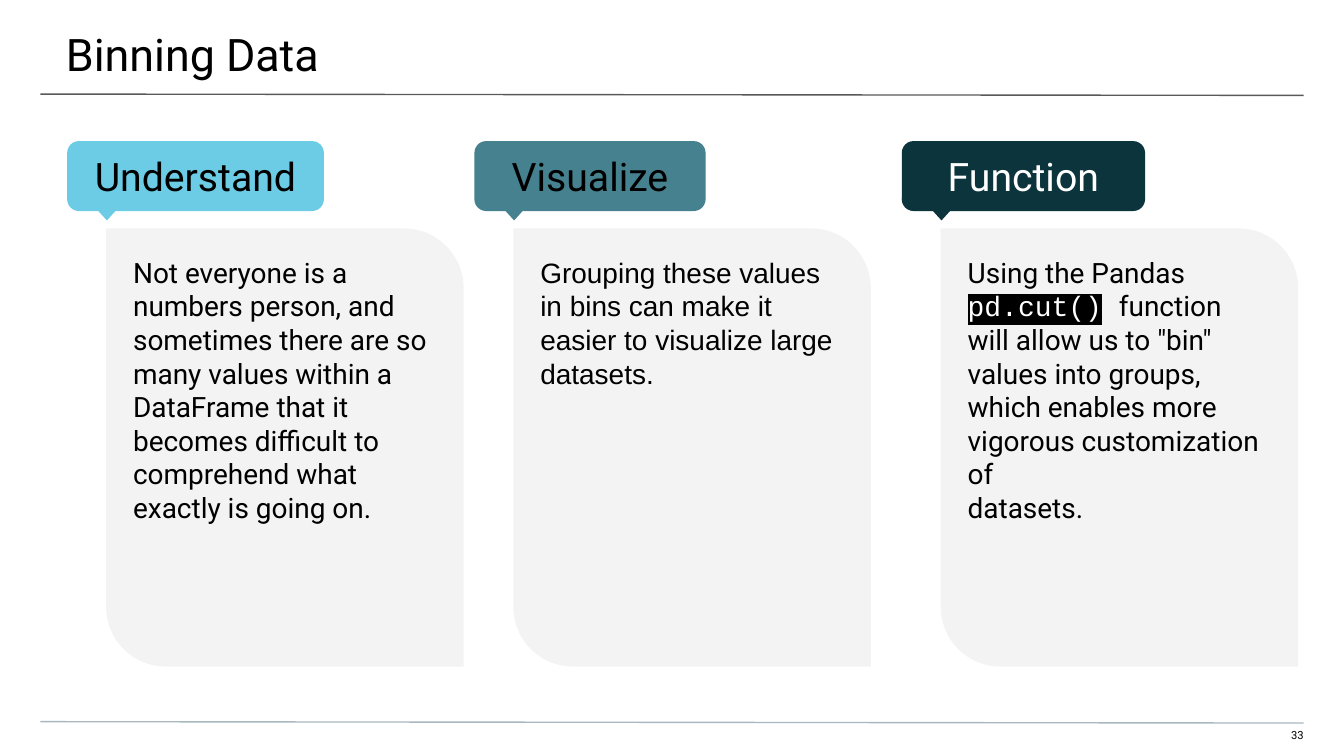
from lxml.etree import SubElement
from pptx import Presentation
from pptx.dml.color import RGBColor
from pptx.enum.shapes import MSO_CONNECTOR as Connector, MSO_SHAPE as Shape
from pptx.enum.text import MSO_ANCHOR as Anchor, PP_ALIGN as Align
from pptx.oxml.ns import qn
from pptx.util import Inches, Pt

BLACK = RGBColor(0x00, 0x00, 0x00)
WHITE = RGBColor(0xFF, 0xFF, 0xFF)
CARD_GREY = RGBColor(0xF3, 0xF3, 0xF3)
RULE_GREY = RGBColor(0x59, 0x59, 0x59)
RULE_BLUE = RGBColor(0xA9, 0xB7, 0xC0)
SKY = RGBColor(0x6C, 0xCC, 0xE6)
TEAL = RGBColor(0x45, 0x81, 0x8E)
NAVY = RGBColor(0x0C, 0x34, 0x3D)

UNDERSTAND = (
    "Not everyone is a numbers person, and sometimes there are so many values "
    "within a DataFrame that it becomes difficult to comprehend what exactly is going on."
)
VISUALIZE = "Grouping these values in bins can make it easier to visualize large datasets."
FUNCTION_END = (
    'function will allow us to "bin" values into groups, '
    "which enables more vigorous customization of "
)
COLUMNS = [
    (0.5, 1.91, "Understand", SKY, BLACK, [(UNDERSTAND, "Roboto", BLACK, None)]),
    (3.53, 1.72, "Visualize", TEAL, BLACK, [(VISUALIZE, "Arial", BLACK, None)]),
    (6.71, 1.81, "Function", NAVY, WHITE, [
        ("Using the Pandas ", "Roboto", BLACK, None),
        ("pd.cut()", "Courier New", WHITE, BLACK),
        (" ", "Courier New", WHITE, None),
        (FUNCTION_END, "Roboto", BLACK, None),
        ("\n", None, None, None),
        ("datasets.", "Roboto", BLACK, None),
    ]),
]


def set_frame(frame, insets, anchor=Anchor.TOP):
    """Set wrapping, anchor and the left, top, right, bottom insets."""
    frame.word_wrap = True
    frame.vertical_anchor = anchor
    frame.margin_left, frame.margin_top, frame.margin_right, frame.margin_bottom = map(
        Inches, insets
    )


def style_run(run, size, font="Roboto", color=BLACK, highlight=None):
    """Set the look of one run."""
    run.font.size = Pt(size)
    run.font.color.rgb = color
    if highlight is not None:
        marker = SubElement(run.font._element, qn("a:highlight"))
        SubElement(marker, qn("a:srgbClr"), val=str(highlight))
    run.font.name = font


def write_line(frame, text, size, align, color=BLACK):
    """Write a single-run line."""
    frame.text = text
    paragraph = frame.paragraphs[0]
    paragraph.alignment = align
    style_run(paragraph.runs[0], size, color=color)


def add_block(slide, preset, box, fill):
    """Add a filled shape without outline."""
    block = slide.shapes.add_shape(preset, *map(Inches, box))
    block.shadow.inherit = False
    block.fill.solid()
    block.fill.fore_color.rgb = fill
    block.line.fill.background()
    return block


def add_rule(slide, top, color):
    """Add a thin rule across the slide."""
    ends = map(Inches, (0.3, top, 9.7, top + 0.01))
    rule = slide.shapes.add_connector(Connector.STRAIGHT, *ends)
    rule.line.color.rgb = color
    rule.line.width = Pt(0.75)
    SubElement(rule._element.spPr, qn("a:effectLst"))


def add_title(slide, text):
    """Fill and place the title."""
    title = slide.shapes.title
    title.left, title.top, title.width, title.height = map(Inches, (-0.01, 0, 10.03, 0.58))
    set_frame(title.text_frame, (0.5, 0.2, 0.3, 0.1))
    write_line(title.text_frame, text, 24, Align.LEFT)


def add_page_number(slide, number):
    """Add the page number at the lower right."""
    box = slide.shapes.add_textbox(*map(Inches, (9.41, 5.42, 0.29, 0.12)))
    set_frame(box.text_frame, (0, 0, 0, 0.1))
    write_line(box.text_frame, number, 6, Align.RIGHT)


def add_card(slide, left, pieces):
    """Add a grey card with its body text."""
    card = add_block(slide, Shape.ROUND_2_DIAG_RECTANGLE, (left, 1.7, 2.66, 3.26), CARD_GREY)
    card.adjustments[0] = 0
    card.adjustments[1] = 0.167
    body = slide.shapes.add_textbox(*map(Inches, (left, 1.7, 2.59, 2.54)))
    set_frame(body.text_frame, (0.2, 0.2, 0.2, 0.2))
    paragraph = body.text_frame.paragraphs[0]
    paragraph.line_spacing = Pt(18)
    for text, font, color, highlight in pieces:
        if text == "\n":
            paragraph.add_line_break()
            continue
        run = paragraph.add_run()
        run.text = text
        style_run(run, 15, font, color, highlight)


def add_heading(slide, left, width, text, fill, color):
    """Add a rounded heading with a pointer below it."""
    label = add_block(slide, Shape.ROUNDED_RECTANGLE, (left, 1.05, width, 0.52), fill)
    label.adjustments[0] = 0.167
    set_frame(label.text_frame, (0.1, 0.1, 0.1, 0.1), Anchor.MIDDLE)
    write_line(label.text_frame, text, 21, Align.CENTER, color)
    pointer = add_block(slide, Shape.FLOWCHART_EXTRACT, (left + 0.15, 1.48, 0.29, 0.16), fill)
    pointer.rotation = 180


def main():
    """Build the slide."""
    deck = Presentation()
    deck.slide_width, deck.slide_height = Inches(10), Inches(10 * 9 / 16)
    slide = deck.slides.add_slide(deck.slide_layouts[5])
    add_page_number(slide, "33")
    add_rule(slide, 0.7, RULE_GREY)
    add_rule(slide, 5.37, RULE_BLUE)
    add_title(slide, "Binning Data")
    for left, width, heading, fill, color, pieces in COLUMNS:
        add_card(slide, left + 0.29, pieces)
        add_heading(slide, left, width, heading, fill, color)
    deck.save("out.pptx")


if __name__ == "__main__":
    main()
